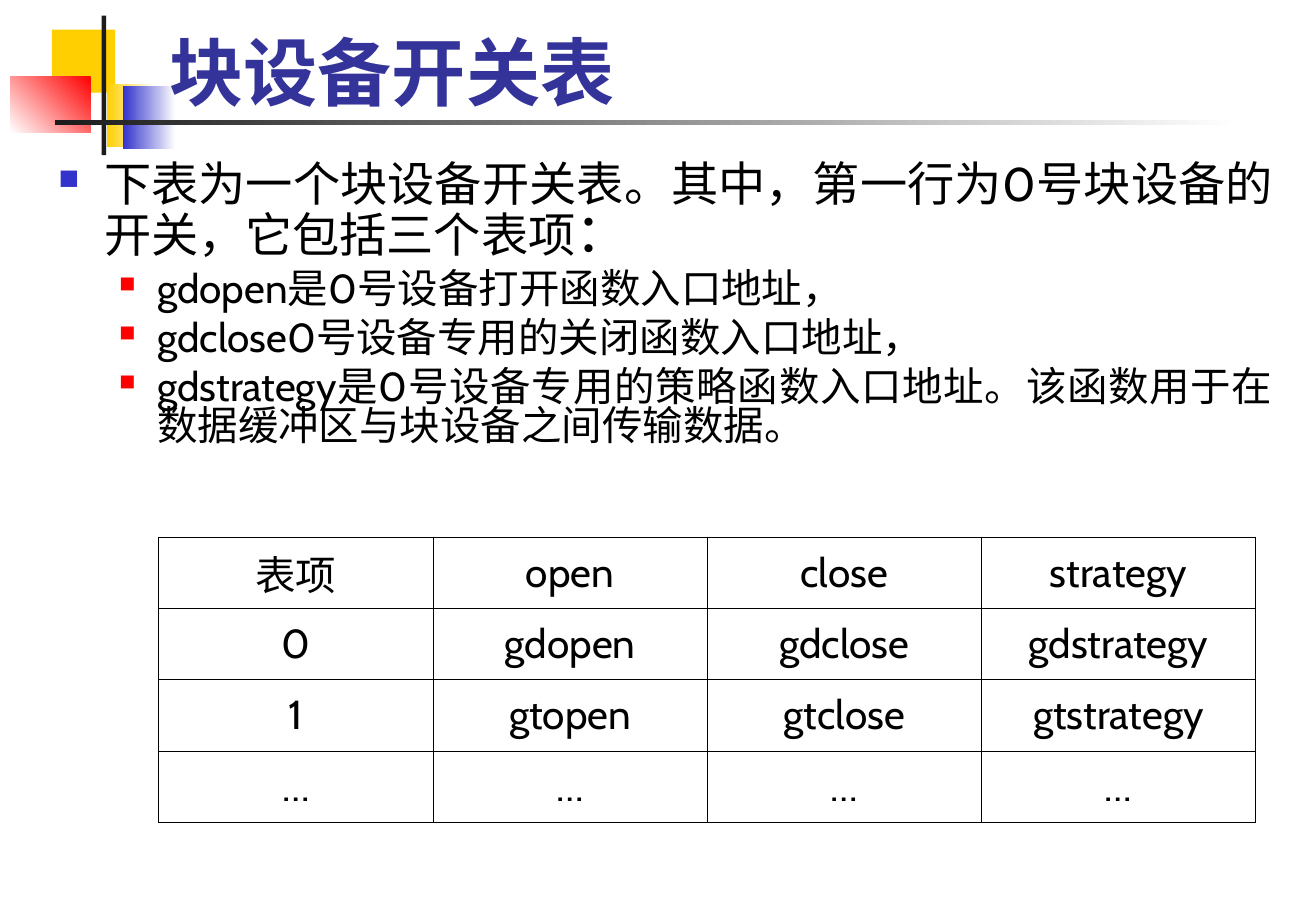
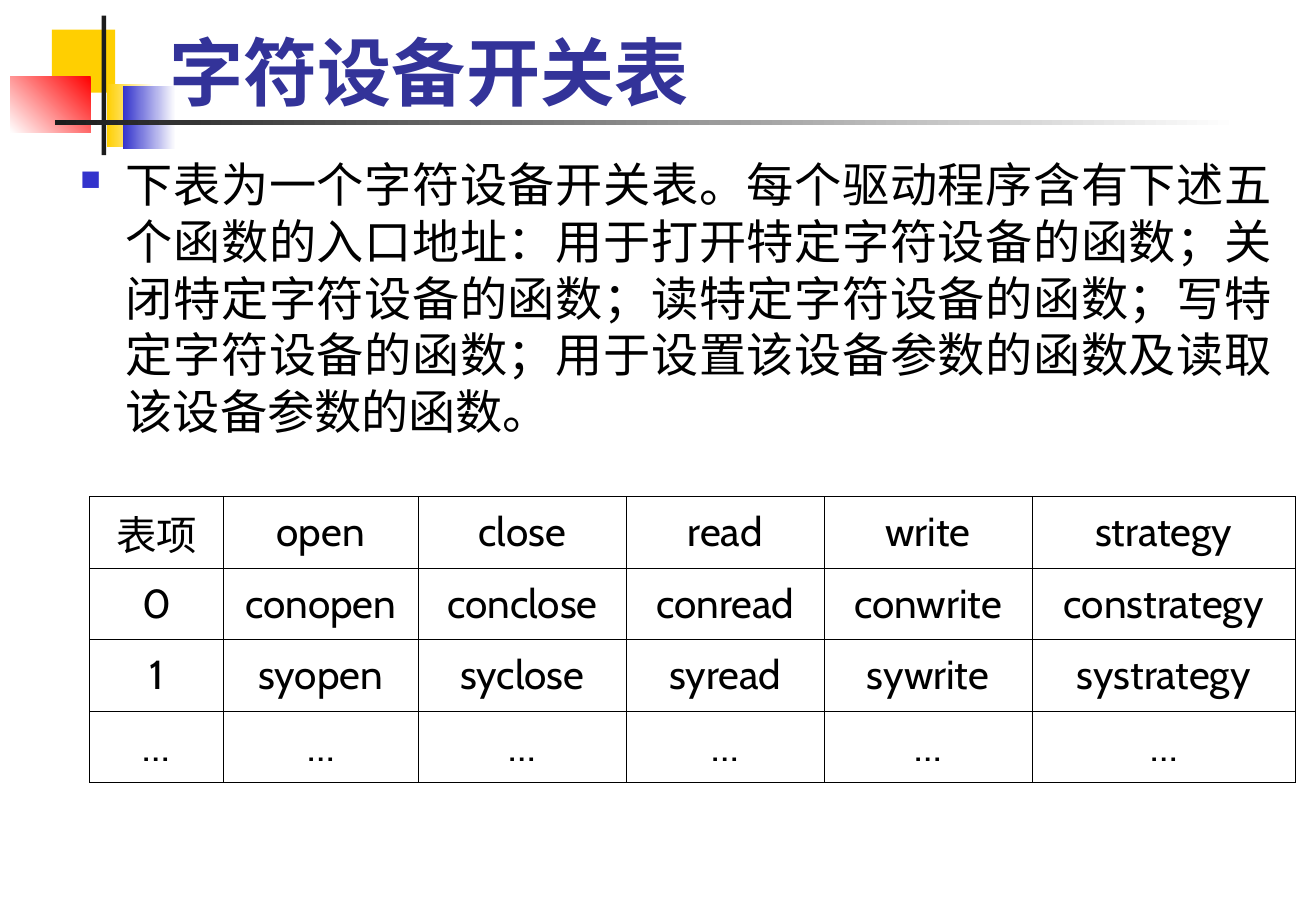
from lxml import etree
from pptx import Presentation
from pptx.dml.color import RGBColor
from pptx.enum.lang import MSO_LANGUAGE_ID
from pptx.enum.shapes import MSO_SHAPE
from pptx.enum.text import MSO_ANCHOR, PP_ALIGN
from pptx.oxml.ns import qn
from pptx.util import Pt

RECTANGLE = MSO_SHAPE.RECTANGLE
CHINESE = MSO_LANGUAGE_ID.SIMPLIFIED_CHINESE
MIDDLE, BOTTOM = MSO_ANCHOR.MIDDLE, MSO_ANCHOR.BOTTOM
CENTER, JUSTIFY = PP_ALIGN.CENTER, PP_ALIGN.JUSTIFY

FONT = "Cabin"
COLORS = {
    "yellow": "FFCF01", "blue": "3333CC", "red": "FF0000", "dark": "1C1C1C",
    "white": "FFFFFF", "title": "333399", "text": "000000",
}
ROW_HEIGHT = 42.3
BORDER_WIDTH = 0.45

# Left, top, width, height, colours from start to end, gradient angle
ORNAMENTS = [
    (30.8, 17.5, 37.5, 37.5, ["yellow"], None),
    (63.4, 49.7, 28, 37.5, ["white", "yellow"], 180),
    (72.9, 51, 31.3, 37.5, ["white", "blue"], 180),
    (6, 45.2, 47.8, 33.2, ["red", "white"], 225),
    (60.2, 9.2, 2.7, 82.8, ["dark"], None),
    (32.8, 71.2, 702, 2.7, ["white", "dark"], 180),
]

# Left indent, hanging indent, space before, bullet colour, bullet size, text size
LEVELS = [
    (27, 27, 0, "blue", 60, 28),
    (58.5, 22.5, 6, "red", 55, 24),
]

SLIDES = [
    {
        "title": "块设备开关表",
        "body_box": (27.6, 94.5, 734.4, 192),
        "line_spacing": 0.8,
        "body": [
            (0, [("下表为一个块设备开关表。其中，第一行为0号块设备的开关，"
                  "它包括三个表项", None), ("：", 32)]),
            (1, [("gdopen是0号设备打开函数入口地址，", None)]),
            (1, [("gdclose0号设备专用的关闭函数入口地址，", None)]),
            (1, [("gdstrategy是0号设备专用的策略函数入口地址。"
                  "该函数用于在数据缓冲区与块设备之间传输数据。", None)]),
        ],
        "table_at": (94.2, 318.3),
        "columns": [162.6] * 4,
        "rows": [
            ["表项", "open", "close", "strategy"],
            ["0", "gdopen", "gdclose", "gdstrategy"],
            ["1", "gtopen", "gtclose", "gtstrategy"],
            ["…"] * 4,
        ],
    },
    {
        "title": "字符设备开关表",
        "body_box": (40.5, 88.7, 721.4, 177),
        "line_spacing": 1.0,
        "body": [
            (0, [("下表为一个字符设备开关表。每个驱动程序含有下述五个函数的入口地址："
                  "用于打开特定字符设备的函数；关闭特定字符设备的函数；"
                  "读特定字符设备的函数；写特定字符设备的函数；"
                  "用于设置该设备参数的函数及读取该设备参数的函数。", None)]),
        ],
        "table_at": (53.2, 294.5),
        "columns": [79.2, 115.6, 123.5, 117.2, 123.5, 156],
        "rows": [
            ["表项", "open", "close", "read", "write", "strategy"],
            ["0", "conopen", "conclose", "conread", "conwrite", "constrategy"],
            ["1", "syopen", "syclose", "syread", "sywrite", "systrategy"],
            ["…"] * 6,
        ],
    },
]


def set_font(paragraph, size, color="text", bold=False):
    font = paragraph.font
    font.name, font.size, font.bold = FONT, Pt(size), bold
    font.language_id = CHINESE
    font.color.rgb = RGBColor.from_string(COLORS[color])


def add_element(parent, tag, **attributes):
    element = etree.SubElement(parent, qn(tag))
    for key, value in attributes.items():
        element.set(key, str(value))
    return element


prs = Presentation()
prs.slide_width = Pt(780.48)
prs.slide_height = Pt(540)

for content in SLIDES:
    slide = prs.slides.add_slide(prs.slide_layouts[6])

    for left, top, width, height, colors, angle in ORNAMENTS:
        ornament = slide.shapes.add_shape(
            RECTANGLE, Pt(left), Pt(top), Pt(width), Pt(height))
        ornament.shadow.inherit = False
        ornament.line.fill.background()
        fill = ornament.fill
        if angle is None:
            fill.solid()
            fill.fore_color.rgb = RGBColor.from_string(COLORS[colors[0]])
        else:
            fill.gradient()
            fill.gradient_angle = angle
            for position, (stop, color) in enumerate(zip(fill.gradient_stops, colors)):
                stop.position = position
                stop.color.rgb = RGBColor.from_string(COLORS[color])

    title = slide.shapes.add_textbox(Pt(93.4), Pt(12), Pt(664.5), Pt(59.8)).text_frame
    title.word_wrap = True
    title.vertical_anchor = BOTTOM
    title.text = content["title"]
    set_font(title.paragraphs[0], 44, "title", bold=True)

    left, top, width, height = content["body_box"]
    body = slide.shapes.add_textbox(Pt(left), Pt(top), Pt(width), Pt(height)).text_frame
    body.word_wrap = True
    for index, (level, runs) in enumerate(content["body"]):
        indent, hanging, before, bullet_color, bullet_size, size = LEVELS[level]
        paragraph = body.add_paragraph() if index else body.paragraphs[0]
        paragraph.level = level
        paragraph.alignment = JUSTIFY
        paragraph.line_spacing = content["line_spacing"]
        paragraph.space_before = Pt(before)
        properties = paragraph._p.get_or_add_pPr()
        properties.set("marL", str(Pt(indent)))
        properties.set("indent", str(-Pt(hanging)))
        bullet_fill = add_element(properties, "a:buClr")
        add_element(bullet_fill, "a:srgbClr", val=COLORS[bullet_color])
        add_element(properties, "a:buSzPct", val=bullet_size * 1000)
        add_element(properties, "a:buChar", char="■")
        set_font(paragraph, size)
        for text, run_size in runs:
            run = paragraph.add_run()
            run.text = text
            if run_size:
                run.font.size = Pt(run_size)

    rows, columns = content["rows"], content["columns"]
    left, top = content["table_at"]
    table = slide.shapes.add_table(
        len(rows), len(columns), Pt(left), Pt(top),
        Pt(sum(columns)), Pt(ROW_HEIGHT * len(rows))).table
    table.first_row = table.horz_banding = False
    for column, width in zip(table.columns, columns):
        column.width = Pt(width)
    for row, texts in zip(table.rows, rows):
        row.height = Pt(ROW_HEIGHT)
        for cell, text in zip(row.cells, texts):
            cell.text = text
            cell.vertical_anchor = MIDDLE
            paragraph = cell.text_frame.paragraphs[0]
            paragraph.alignment = CENTER
            set_font(paragraph, 24)
            cell_properties = cell._tc.get_or_add_tcPr()
            for side in "LRTB":
                border = add_element(cell_properties, f"a:ln{side}", w=Pt(BORDER_WIDTH))
                border_fill = add_element(border, "a:solidFill")
                add_element(border_fill, "a:srgbClr", val=COLORS["text"])
            cell.fill.background()

prs.save("out.pptx")
